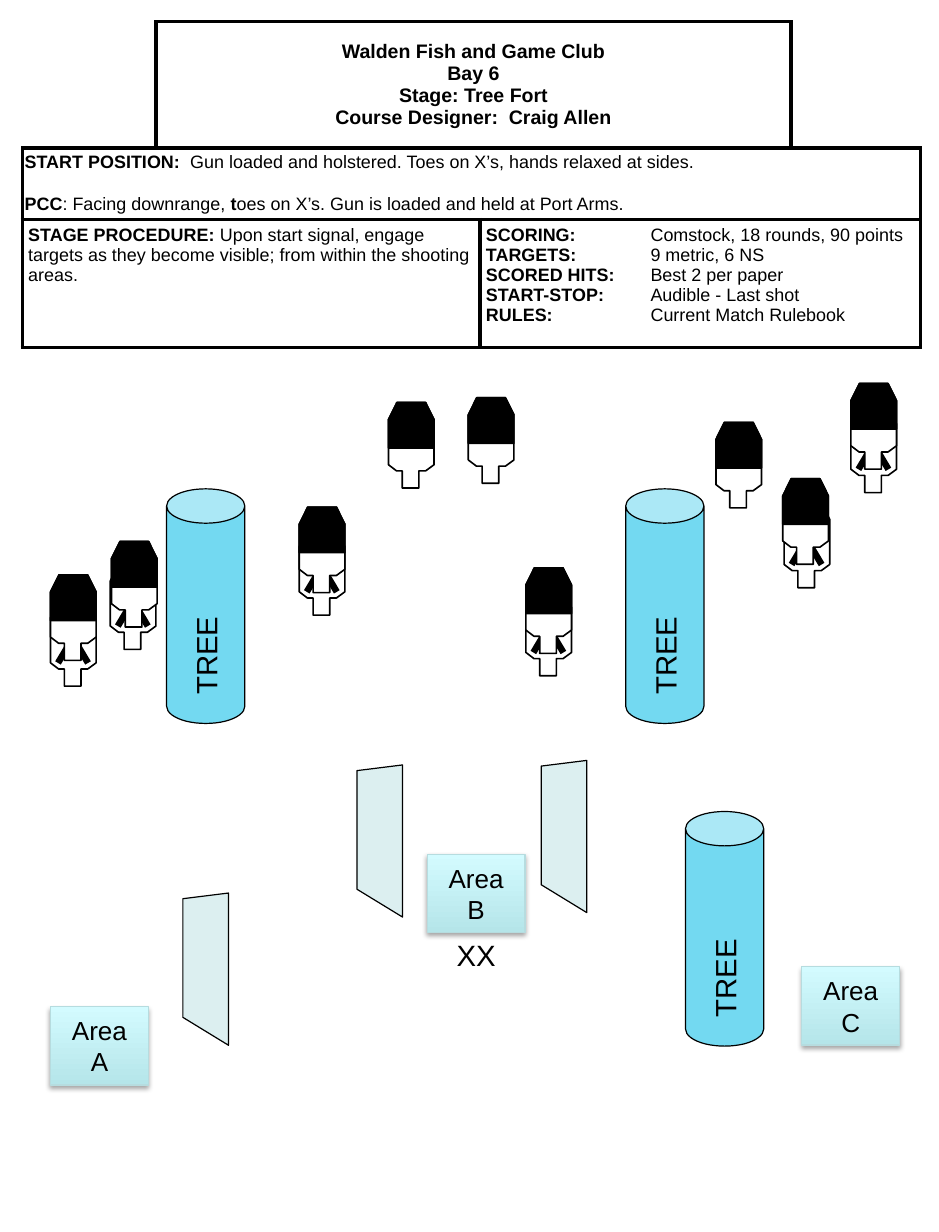
from lxml.etree import SubElement
from pptx import Presentation
from pptx.dml.color import RGBColor
from pptx.enum.shapes import MSO_CONNECTOR, MSO_SHAPE
from pptx.enum.text import MSO_ANCHOR, PP_ALIGN
from pptx.oxml import parse_xml
from pptx.oxml.ns import nsdecls, qn
from pptx.util import Pt

BODY = [(18.7, 52.5), (8.5, 52.5), (8.5, 42), (5, 42), (0, 38.2), (0, 10.5),
        (5.2, 0), (22.8, 0), (28, 10.5), (28, 38.2), (22.8, 42), (18.7, 42)]
BLACK = [(28, 28), (0, 28), (0, 10.5), (5.2, 0), (22.8, 0), (28, 10.5)]
WALL = [(28, 93.4), (28, 0), (0, 3.5), (0, 76.3)]
NOSHOOTS = [(322.6, 362.2), (31, 368.6), (481, 308.2), (522, 249.8),
            (67.7, 346), (183.6, 325)]
TARGETS = [(31, 352.8), (322.6, 348.5), (439.2, 259.2), (238.3, 247),
           (287.3, 244.1), (68.4, 332.3), (183.6, 311.2), (480.2, 293.8),
           (522, 235.4)]
TREES = [(383.8, 300), (102.2, 300), (420.5, 498)]
WALLS = [(112.2, 548), (219, 469.4), (332, 466.6)]
AREAS = [("Area A", 31, 617.8), ("Area B", 262, 524.2), ("Area C", 491.8, 593.3)]
TITLE = ["Walden Fish and Game Club", "Bay 6", "Stage: Tree Fort",
         "Course Designer:  Craig Allen"]
START = [[("START POSITION:  ", True),
          ("Gun loaded and holstered. Toes on X’s, hands relaxed at sides.", False)],
         [("PCC", True), (": Facing downrange,", False), (" t", True),
          ("oes on X’s. Gun is loaded and held at Port Arms.", False)]]
STEPS = [[("STAGE PROCEDURE: ", True),
          ("Upon start signal, engage targets as they become visible; "
           "from within the shooting areas.", False)]]
SCORES = [("SCORING:", "Comstock, 18 rounds, 90 points"),
          ("TARGETS:", "9 metric, 6 NS"),
          ("SCORED HITS:", "Best 2 per paper"),
          ("START-STOP:", "Audible - Last shot"),
          ("RULES:", "Current Match Rulebook")]


def color(hexa):
    """Return the colour of a hex string."""
    return RGBColor.from_string(hexa)


def style(para, size, bold=False):
    """Give a paragraph its black Arial font."""
    font = para.font
    font.name, font.size, font.bold = "Arial", Pt(size), bold
    font.color.rgb = color("000000")


def paint(shape, fill, width, line="000000"):
    """Set a solid fill and an outline, without a shadow."""
    shape.shadow.inherit = False
    shape.fill.solid()
    shape.fill.fore_color.rgb = color(fill)
    shape.line.color.rgb = color(line)
    shape.line.width = Pt(width)


def outline(shapes, left, top, points, fill, width):
    """Draw a closed polygon offset to a corner."""
    spots = [(Pt(left + x), Pt(top + y)) for x, y in points]
    build = shapes.build_freeform(*spots[0])
    build.add_line_segments(spots[1:], close=True)
    shape = build.convert_to_shape()
    paint(shape, fill, width)
    return shape


def noshoot(slide, left, top):
    """Draw a white target crossed out in black."""
    shapes = slide.shapes.add_group_shape().shapes
    outline(shapes, left, top, BODY, "FFFFFF", 1)
    for x1, x2 in ((4.6, 23), (23, 4.6)):
        bar = shapes.add_connector(MSO_CONNECTOR.STRAIGHT, Pt(left + x1), Pt(top + 38.2),
                                   Pt(left + x2), Pt(top + 7.3))
        bar.line.color.rgb = color("000000")
        bar.line.width = Pt(4)
        SubElement(bar._element.spPr, qn("a:effectLst"))


def target(slide, left, top):
    """Draw a target with its upper part blacked out."""
    shapes = slide.shapes.add_group_shape().shapes
    outline(shapes, left, top, BODY, "FFFFFF", 1)
    outline(shapes, left, top, BLACK, "000000", 1)


def tree(slide, left, top):
    """Draw a can with its upright label."""
    can = slide.shapes.add_shape(MSO_SHAPE.CAN, Pt(left), Pt(top), Pt(48), Pt(144))
    can.adjustments[0] = 0.44
    paint(can, "73D9F1", 0.75)
    frame = can.text_frame
    frame.word_wrap = False
    frame.vertical_anchor = MSO_ANCHOR.MIDDLE
    frame._txBody.bodyPr.set("vert", "vert270")
    para = frame.paragraphs[0]
    para.text = "TREE"
    para.alignment = PP_ALIGN.LEFT
    style(para, 18)


def wall(slide, left, top):
    """Draw a half transparent wall panel."""
    panel = outline(slide.shapes, left, top, WALL, "BBE0E3", 0.75)
    tint = panel._element.spPr.find(qn("a:solidFill"))[0]
    SubElement(tint, qn("a:alpha"), val="50000")


def area(slide, label, left, top):
    """Draw a shooting area with gradient and soft shadow."""
    box = slide.shapes.add_shape(MSO_SHAPE.RECTANGLE, Pt(left), Pt(top), Pt(60), Pt(48))
    paint(box, "B5E5E9", 0.75, "B6DCDF")
    box.fill.gradient()
    box.fill.gradient_angle = 90
    for stop, hexa, spot in zip(box.fill.gradient_stops, ("B5E5E9", "D3FBFF"), (0, 1)):
        stop.color.rgb = color(hexa)
        stop.position = spot
    box._element.spPr.find(qn("a:effectLst")).append(parse_xml(
        f'<a:outerShdw {nsdecls("a")} blurRad="{Pt(3.1)}" dist="{Pt(1.8)}" dir="5400000" '
        'rotWithShape="0"><a:srgbClr val="000000"><a:alpha val="35000"/></a:srgbClr>'
        '</a:outerShdw>'))
    frame = box.text_frame
    frame.word_wrap = True
    frame.vertical_anchor = MSO_ANCHOR.MIDDLE
    para = frame.paragraphs[0]
    para.text = label
    para.alignment = PP_ALIGN.CENTER
    style(para, 16)


def marks(slide):
    """Write the start marks."""
    frame = slide.shapes.add_textbox(Pt(273), Pt(571.7), Pt(38.9), Pt(28.8)).text_frame
    frame.word_wrap = False
    frame.paragraphs[0].text = "XX"
    style(frame.paragraphs[0], 18)


def border(cell, sides):
    """Fill a cell white and rule the given sides."""
    cell.fill.solid()
    cell.fill.fore_color.rgb = color("FFFFFF")
    props = cell._tc.get_or_add_tcPr()
    for spot, side in enumerate(sides):
        props.insert(spot, parse_xml(
            f'<a:ln{side} {nsdecls("a")} w="{Pt(2.25)}"><a:solidFill>'
            f'<a:srgbClr val="000000"/></a:solidFill></a:ln{side}>'))


def write(cell, lines, gap=0, tab=None):
    """Fill a cell with paragraphs of plain and bold runs."""
    frame = cell.text_frame
    for spot, runs in enumerate(lines):
        para = frame.add_paragraph() if spot else frame.paragraphs[0]
        if spot:
            para.space_before = Pt(gap)
        if tab:
            props = para._p.get_or_add_pPr()
            tabs = SubElement(props, qn("a:tabLst"))
            SubElement(tabs, qn("a:tab"), pos=str(Pt(tab)), algn="l")
        style(para, 11)
        for text, bold in runs:
            run = para.add_run()
            run.text = text
            run.font.bold = bold


def inset(cell, side, edge):
    """Set the inner margins of a cell."""
    cell.margin_left = cell.margin_right = Pt(side)
    cell.margin_top = cell.margin_bottom = Pt(edge)


def sheet(slide):
    """Build the stage description table."""
    widths, heights = (82, 198.8, 190.8, 79.2), (77.8, 43.8, 78.5)
    table = slide.shapes.add_table(3, 4, Pt(13.7), Pt(13), Pt(sum(widths)),
                                   Pt(sum(heights))).table
    table.first_row = table.horz_banding = False
    for col, width in zip(table.columns, widths):
        col.width = Pt(width)
    for row, height in zip(table.rows, heights):
        row.height = Pt(height)
    for spot, cell in enumerate(table.iter_cells()):
        border(cell, {0: "RB", 3: "LB"}.get(spot, "LRTB"))
        inset(cell, 3.6, 3.6)
    for row, first, last in ((0, 1, 2), (1, 0, 3), (2, 0, 1), (2, 2, 3)):
        table.cell(row, first).merge(table.cell(row, last))
    head = table.cell(0, 1)
    head.vertical_anchor = MSO_ANCHOR.MIDDLE
    para = head.text_frame.paragraphs[0]
    para.text = "\v".join(TITLE)
    para.alignment = PP_ALIGN.CENTER
    style(para, 12, True)
    start = table.cell(1, 0)
    inset(start, 1.4, 2.9)
    write(start, START, gap=13)
    write(table.cell(2, 0), STEPS)
    write(table.cell(2, 2), [[(name + "\t", True), (text, False)] for name, text in SCORES],
          tab=101)


def main():
    """Build the stage sheet and save it."""
    deck = Presentation()
    deck.slide_width, deck.slide_height = Pt(576), Pt(756)
    slide = deck.slides.add_slide(deck.slide_layouts[6])
    sheet(slide)
    for draw, spots in ((noshoot, NOSHOOTS), (tree, TREES), (wall, WALLS),
                        (area, AREAS), (target, TARGETS)):
        for spot in spots:
            draw(slide, *spot)
    marks(slide)
    deck.save("out.pptx")


if __name__ == "__main__":
    main()
